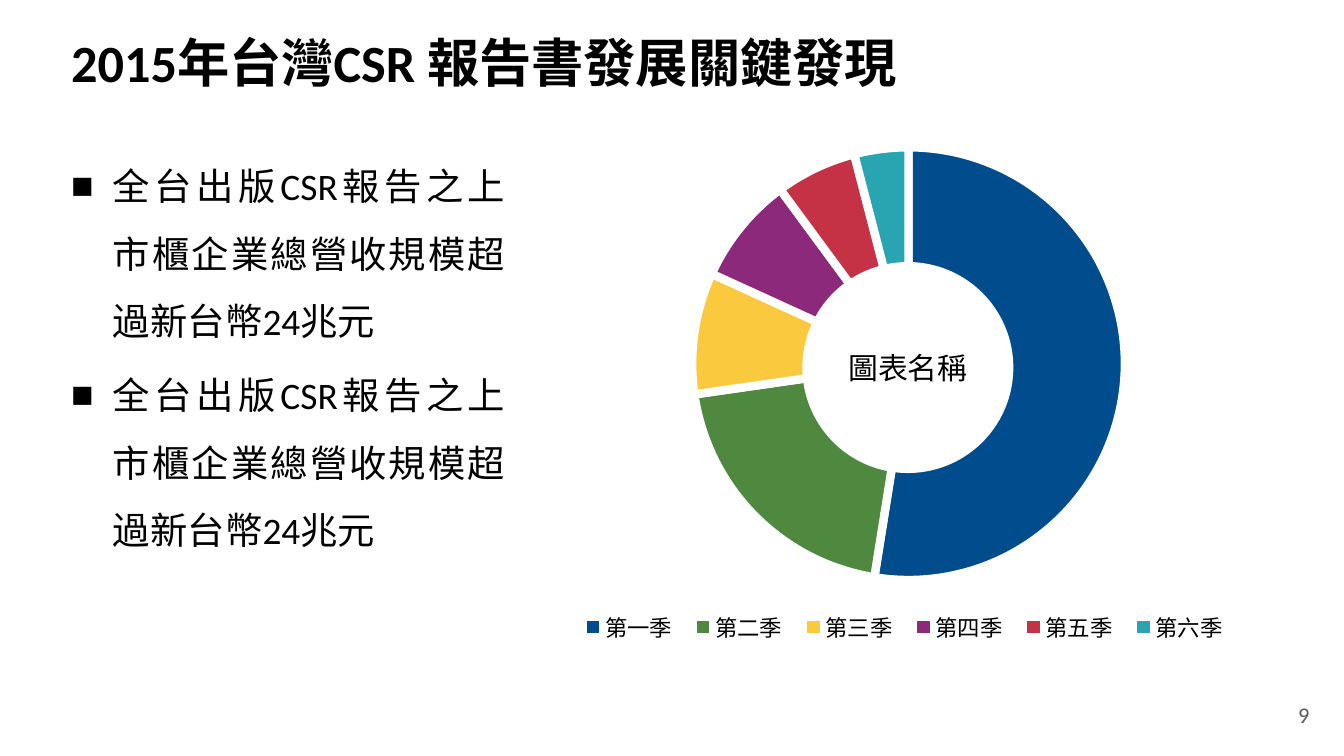
import pptx
import pptx.util
import pptx.chart.data
import pptx.dml.color
import pptx.enum.chart
import pptx.enum.shapes
import pptx.enum.text
import pptx.oxml.ns
import lxml.etree

Inches = pptx.util.Inches
Pt = pptx.util.Pt
Align = pptx.enum.text.PP_ALIGN
Anchor = pptx.enum.text.MSO_ANCHOR


def color(code):
    return pptx.dml.color.RGBColor.from_string(code)


def node(parent, tag, **attrs):
    return lxml.etree.SubElement(parent, pptx.oxml.ns.qn(tag), attrs)


def write(para, text, size=18, ink="000000", bold=False, align=Align.LEFT):
    para.alignment = align
    run = para.add_run()
    run.text = text
    font = run.font
    font.name, font.size, font.bold = "Calibri", Pt(size), bold
    font.color.rgb = color(ink)


def arrange(part, spot, box, inner=False):
    for old in part.findall(pptx.oxml.ns.qn("c:layout")):
        part.remove(old)
    layout = node(part, "c:layout")
    part.insert(spot, layout)
    manual = node(layout, "c:manualLayout")
    if inner:
        node(manual, "c:layoutTarget", val="inner")
    for key in "xy":
        node(manual, f"c:{key}Mode", val="edge")
    for key, val in zip("xywh", box):
        node(manual, f"c:{key}", val=str(val))


class Page:
    """Holds the style and the current slide."""

    ink, paper = "000000", "FFFFFF"

    def __init__(self, deck):
        self.slide = deck.slides.add_slide(deck.slide_layouts[1])
        self.shapes = self.slide.shapes

    def place(self, shape, box):
        shape.left, shape.top, shape.width, shape.height = map(Inches, box)
        frame = shape.text_frame
        frame.word_wrap = True
        frame.auto_size = pptx.enum.text.MSO_AUTO_SIZE.NONE
        return frame

    def title(self, text, box):
        frame = self.place(self.shapes.title, box)
        frame.vertical_anchor = Anchor.MIDDLE
        write(frame.paragraphs[0], text, size=28, bold=True)

    def list(self, items, box):
        frame = self.place(self.slide.placeholders[1], box)
        for i, item in enumerate(items):
            para = frame.add_paragraph() if i else frame.paragraphs[0]
            write(para, item, size=20, align=Align.JUSTIFY)
            para.line_spacing = 1.5
            props = para._p.get_or_add_pPr()
            props.set("marL", str(Inches(0.31)))
            props.set("indent", str(-Inches(0.31)))
            node(node(props, "a:buClr"), "a:srgbClr", val=self.ink)
            node(props, "a:buFont", typeface="Arial")
            node(props, "a:buChar", char="■")

    def pie(self, cats, vals, fills, box, plot, key):
        data = pptx.chart.data.CategoryChartData()
        data.categories = cats
        data.add_series("Series 1", vals)
        kind = pptx.enum.chart.XL_CHART_TYPE.PIE
        chart = self.shapes.add_chart(kind, *map(Inches, box), data).chart
        chart.has_title = False
        chart.font.name, chart.font.size = "Calibri", Pt(18)
        chart.font.color.rgb = color(self.ink)
        chart.has_legend = True
        chart.legend.position = pptx.enum.chart.XL_LEGEND_POSITION.BOTTOM
        chart.legend.include_in_layout = False
        chart.legend.font.size = Pt(12)
        chart.plots[0].vary_by_categories = True
        for i, fill in enumerate(fills):
            form = chart.plots[0].series[0].points[i].format
            form.fill.solid()
            form.fill.fore_color.rgb = color(fill)
            form.line.color.rgb = color(self.paper)
            form.line.width = Pt(4.5)
        root = chart._chartSpace.chart
        arrange(root.plotArea, 0, plot, inner=True)
        arrange(root.find(pptx.oxml.ns.qn("c:legend")), 1, key)

    def disc(self, text, box):
        kind = pptx.enum.shapes.MSO_SHAPE.OVAL
        shape = self.shapes.add_shape(kind, *map(Inches, box))
        shape.shadow.inherit = False
        shape.fill.solid()
        shape.fill.fore_color.rgb = color(self.paper)
        shape.line.fill.background()
        frame = self.place(shape, box)
        frame.vertical_anchor = Anchor.MIDDLE
        write(frame.paragraphs[0], text, size=16, align=Align.CENTER)

    def label(self, text, box):
        frame = self.place(self.shapes.add_textbox(*map(Inches, box)), box)
        frame.vertical_anchor = Anchor.MIDDLE
        write(frame.paragraphs[0], text, size=12, ink="595959")


deck = pptx.Presentation()
deck.slide_width = Inches(10)
deck.slide_height = deck.slide_width * 9 // 16
page = Page(deck)
page.title("2015年台灣CSR 報告書發展關鍵發現", (0.43, 0.23, 9.13, 0.46))
page.list(["全台出版CSR報告之上市櫃企業總營收規模超過新台幣24兆元"] * 2,
          (0.43, 1, 3.43, 3.86))
page.pie([f"第{n}季" for n in "一二三四五六"], (52, 20, 9, 8, 6, 4),
         ("004C8D", "4F8940", "FBC93E", "8C297A", "C53246", "29A4B1"),
         (4.02, 0.98, 5.48, 3.88), (0.2, 0.03, 0.6, 0.83),
         (0.04, 0.91, 0.91, 0.08))
page.disc("圖表名稱", (5.97, 1.95, 1.57, 1.57))
page.label("9", (9.56, 5.16, 0.43, 0.31))
deck.save("out.pptx")
